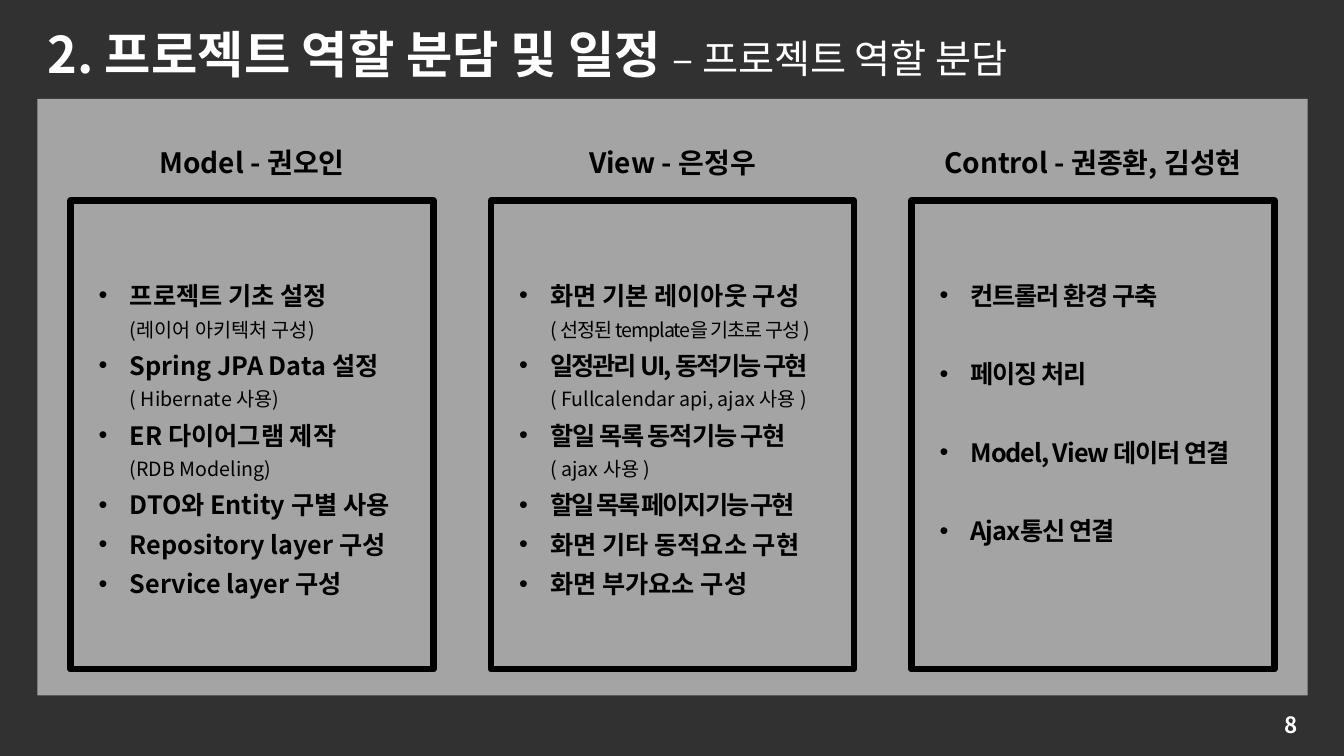
from dataclasses import dataclass

from lxml import etree
from pptx import Presentation
from pptx.dml.color import RGBColor
from pptx.enum import shapes, text
from pptx.oxml import ns
from pptx.util import Inches, Pt


@dataclass(frozen=True)
class Theme:
    font: str = "Noto Sans CJK KR"
    back: str = "313131"
    panel: str = "A4A4A4"
    light: str = "FFFFFF"
    dark: str = "000000"
    title: int = 36
    subtitle: int = 28
    heading: int = 20
    item: int = 18
    note: int = 14
    number: int = 16


THEME = Theme()

# Each item: (task, letter spacing, note, letter spacing of the note)
COLUMNS = [
    ("Model - 권오인", 0, [
        ("프로젝트 기초 설정", 0, "(레이어 아키텍처 구성)", 0),
        ("Spring JPA Data 설정", 0, "( Hibernate 사용)", 0),
        ("ER 다이어그램 제작", 0, "(RDB Modeling)", 0),
        ("DTO와 Entity 구별 사용", 0, "", 0),
        ("Repository layer 구성", 0, "", 0),
        ("Service layer 구성", 0, "", 0),
    ]),
    ("View - 은정우", 0, [
        ("화면 기본 레이아웃 구성", -0.8, "( 선정된 template을 기초로 구성 )", -0.8),
        ("일정관리 UI, 동적기능 구현", -1.5, "( Fullcalendar api, ajax 사용 )", 0),
        ("할일 목록 동적기능 구현", -0.8, "( ajax 사용 )", 0),
        ("할일 목록 페이지기능 구현", -1.5, "", 0),
        ("화면 기타 동적요소 구현", 0, "", 0),
        ("화면 부가요소 구성", 0, "", 0),
    ]),
    ("Control - 권종환, 김성현", 28, [
        ("컨트롤러 환경 구축", -0.8, "", 0),
        ("페이징 처리", -0.8, "", 0),
        ("Model, View 데이터 연결", -0.8, "", 0),
        ("Ajax통신 연결", -0.8, "", 0),
    ]),
]
# The first task of the View column keeps normal letter spacing
COLUMNS[1][2][0] = ("화면 기본 레이아웃 구성", 0) + COLUMNS[1][2][0][2:]


def style_run(r, size, color, bold=True, spacing=0):
    r.font.name = THEME.font
    r.font.size = Pt(size)
    r.font.bold = bold
    r.font.color.rgb = RGBColor.from_string(color)
    rPr = r.font._element
    etree.SubElement(rPr, ns.qn("a:ea")).set("typeface", THEME.font)
    if spacing:
        rPr.set("spc", str(round(spacing * 100)))


def add_text(s, x, y, w, h):
    tf = s.shapes.add_textbox(Inches(x), Inches(y), Inches(w), Inches(h)).text_frame
    tf.word_wrap = True
    return tf


def add_label(s, x, y, w, h, label, size, color, align):
    tf = add_text(s, x, y, w, h)
    tf.text = label
    p = tf.paragraphs[0]
    p.alignment = align
    style_run(p.runs[0], size, color)
    return tf


def add_box(s, x, y, w, h):
    sp = s.shapes.add_shape(shapes.MSO_SHAPE.RECTANGLE,
                            Inches(x), Inches(y), Inches(w), Inches(h))
    sp.shadow.inherit = False
    return sp


def add_title(s, x, y, w, h):
    sp = s.shapes.title
    sp.left, sp.top, sp.width, sp.height = map(Inches, (x, y, w, h))
    tf = sp.text_frame
    tf.vertical_anchor = text.MSO_ANCHOR.TOP
    tf.auto_size = text.MSO_AUTO_SIZE.NONE
    tf.text = "2. 프로젝트 역할 분담 및 일정 "
    p = tf.paragraphs[0]
    p.alignment = text.PP_ALIGN.LEFT
    style_run(p.runs[0], THEME.title, THEME.light)
    r = p.add_run()
    r.text = "– 프로젝트 역할 분담"
    style_run(r, THEME.subtitle, THEME.light, bold=False)


def add_panel(s, x, y, w, h):
    sp = add_box(s, x, y, w, h)
    sp.fill.solid()
    sp.fill.fore_color.rgb = RGBColor.from_string(THEME.panel)
    sp.line.fill.background()


def add_item(p, item, gap):
    task, task_spacing, note, note_spacing = item
    p.text = f"{task}\v{note}" if note else task
    p.line_spacing = 1.3
    p.space_after = Pt(gap)
    pPr = p._p.get_or_add_pPr()
    pPr.set("marL", str(Inches(0.31)))
    pPr.set("indent", str(Inches(-0.31)))
    etree.SubElement(pPr, ns.qn("a:buFont")).set("typeface", "Arial")
    etree.SubElement(pPr, ns.qn("a:buChar")).set("char", "•")
    style_run(p.runs[0], THEME.item, THEME.dark, spacing=task_spacing)
    if note:
        style_run(p.runs[1], THEME.note, THEME.dark, False, note_spacing)


def add_column(s, x, y, w, h, heading, gap, items):
    # Heading above the frame
    add_label(s, x - 0.04, y - 0.6, w + 0.08, 0.44, heading,
              THEME.heading, THEME.dark, text.PP_ALIGN.CENTER)
    # Frame
    sp = add_box(s, x, y, w, h)
    sp.fill.background()
    sp.line.color.rgb = RGBColor.from_string(THEME.dark)
    sp.line.width = Pt(4.5)
    # Task list
    tf = add_text(s, x + 0.18, y + 0.65, w - 0.36, h - 0.96)
    for i, item in enumerate(items):
        p = tf.add_paragraph() if i else tf.paragraphs[0]
        add_item(p, item, gap)


def add_page_number(s, x, y, w, h):
    tf = add_label(s, x, y, w, h, "8", THEME.number, THEME.light,
                   text.PP_ALIGN.RIGHT)
    tf.vertical_anchor = text.MSO_ANCHOR.MIDDLE


def main():
    prs = Presentation()
    prs.slide_width, prs.slide_height = Inches(13.33), Inches(7.5)
    s = prs.slides.add_slide(prs.slide_layouts[5])
    s.background.fill.solid()
    s.background.fill.fore_color.rgb = RGBColor.from_string(THEME.back)
    add_title(s, 0.37, 0.18, 11.51, 0.71)
    add_panel(s, 0.37, 0.98, 12.6, 5.92)
    for i, column in enumerate(COLUMNS):
        add_column(s, 0.7 + i * 4.17, 1.99, 3.6, 4.65, *column)
    add_page_number(s, 9.97, 6.99, 3, 0.4)
    prs.save("out.pptx")


if __name__ == "__main__":
    main()
